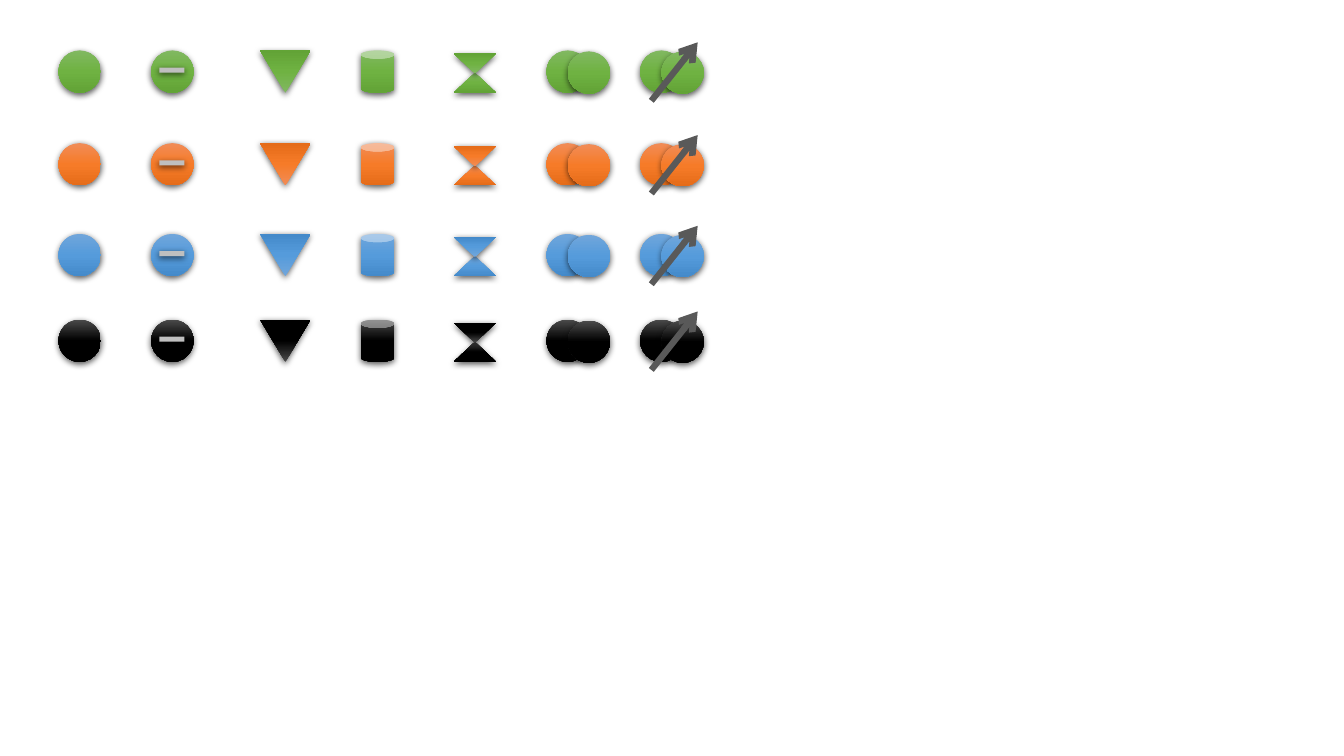
from copy import deepcopy

from lxml.etree import SubElement
from pptx import Presentation
from pptx.dml.color import RGBColor
from pptx.enum.shapes import MSO_CONNECTOR, MSO_SHAPE
from pptx.oxml.ns import qn
from pptx.util import Inches, Pt

COLORS = {
    "green": ("81B861", "6FB242", "62A336"),
    "orange": ("F18C57", "F67B28", "E56C19"),
    "blue": ("71A6DB", "559BDB", "448ACA"),
    "black": ("4B4B4B", "000000", "000000"),
    "bar": "BFBFBF",
    "arrow": "595959",
    "shadow": "000000",
}
ROWS = {"green": 0.5, "orange": 1.42, "blue": 2.32, "black": 3.17}
SIZE = 0.42
SHADOW = {"blurRad": Pt(4.5), "dist": Pt(1.5), "dir": 90 * 60000, "algn": "ctr", "rotWithShape": 0}


def add_shadow(shape):
    shape.shadow.inherit = False
    effects = shape._element.spPr.find(qn("a:effectLst"))
    shadow = SubElement(effects, qn("a:outerShdw"), {key: str(value) for key, value in SHADOW.items()})
    color = SubElement(shadow, qn("a:srgbClr"), val=COLORS["shadow"])
    SubElement(color, qn("a:alpha"), val="63000")


def fill_gradient(shape, colors):
    shape.fill.gradient()
    shape.fill.gradient_angle = 270
    stop_list = shape._element.spPr.find(f".//{qn('a:gsLst')}")
    stop_list.append(deepcopy(stop_list[-1]))
    for stop, position, color in zip(shape.fill.gradient_stops, (0, 0.5, 1), colors):
        stop.position = position
        stop.color.rgb = RGBColor.from_string(color)


def add_part(shapes, kind, left, top, width, height, color, rotation=0):
    shape = shapes.add_shape(kind, Inches(left), Inches(top), Inches(width), Inches(height))
    shape.rotation = rotation
    if isinstance(COLORS[color], tuple):
        fill_gradient(shape, COLORS[color])
    else:
        shape.fill.solid()
        shape.fill.fore_color.rgb = RGBColor.from_string(COLORS[color])
    shape.line.fill.background()
    add_shadow(shape)


def add_circle(shapes, left, top, color):
    add_part(shapes, MSO_SHAPE.OVAL, left, top, SIZE, SIZE, color)


def add_barred_circle(shapes, left, top, color):
    group = shapes.add_group_shape()
    add_circle(group.shapes, left, top, color)
    add_part(group.shapes, MSO_SHAPE.RECTANGLE, left + 0.08, top + 0.17, 0.25, 0.05, "bar")


def add_triangle(shapes, left, top, color):
    add_part(shapes, MSO_SHAPE.ISOSCELES_TRIANGLE, left, top, 0.5, SIZE, color, 180)


def add_can(shapes, left, top, color):
    add_part(shapes, MSO_SHAPE.CAN, left, top, 0.33, SIZE, color)


def add_hourglass(shapes, left, top, color):
    group = shapes.add_group_shape()
    for offset, rotation in ((0.22, 0), (0.03, 180)):
        add_part(group.shapes, MSO_SHAPE.ISOSCELES_TRIANGLE, left, top + offset, SIZE, 0.2, color, rotation)


def add_circle_pair(shapes, left, top, color):
    group = shapes.add_group_shape()
    add_circle(group.shapes, left, top, color)
    add_circle(group.shapes, left + 0.21, top + 0.01, color)
    return group


def add_crossed_pair(shapes, left, top, color):
    group = add_circle_pair(shapes, left, top, color)
    arrow = group.shapes.add_connector(
        MSO_CONNECTOR.STRAIGHT,
        Inches(left + 0.11), Inches(top + 0.5), Inches(left + 0.57), Inches(top - 0.08),
    )
    arrow.line.width = Pt(4.5)
    arrow.line.color.rgb = RGBColor.from_string(COLORS["arrow"])
    SubElement(arrow.line._get_or_add_ln(), qn("a:tailEnd"), type="arrow")
    SubElement(arrow._element.spPr, qn("a:effectLst"))


ICONS = {
    add_circle: 0.58,
    add_barred_circle: 1.5,
    add_triangle: 2.58,
    add_can: 3.58,
    add_hourglass: 4.5,
    add_circle_pair: 5.42,
    add_crossed_pair: 6.35,
}


def add_icon_row(slide, top, color):
    for add_icon, left in ICONS.items():
        add_icon(slide.shapes, left, top, color)


def main():
    presentation = Presentation()
    for name, value in {"slide_width": 13.33, "slide_height": 7.5}.items():
        setattr(presentation, name, Inches(value))
    slide = presentation.slides.add_slide(presentation.slide_layouts[6])
    for color, top in ROWS.items():
        add_icon_row(slide, top, color)
    presentation.save("out.pptx")


if __name__ == "__main__":
    main()
